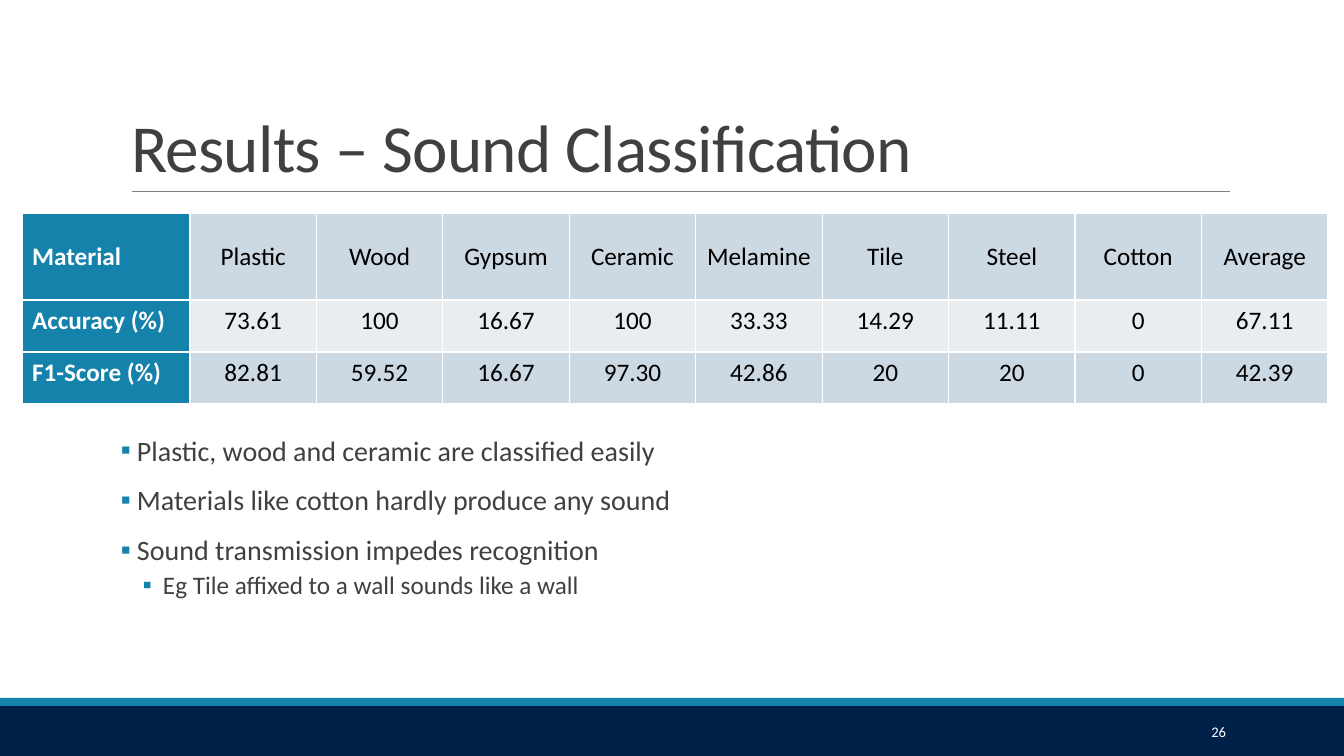
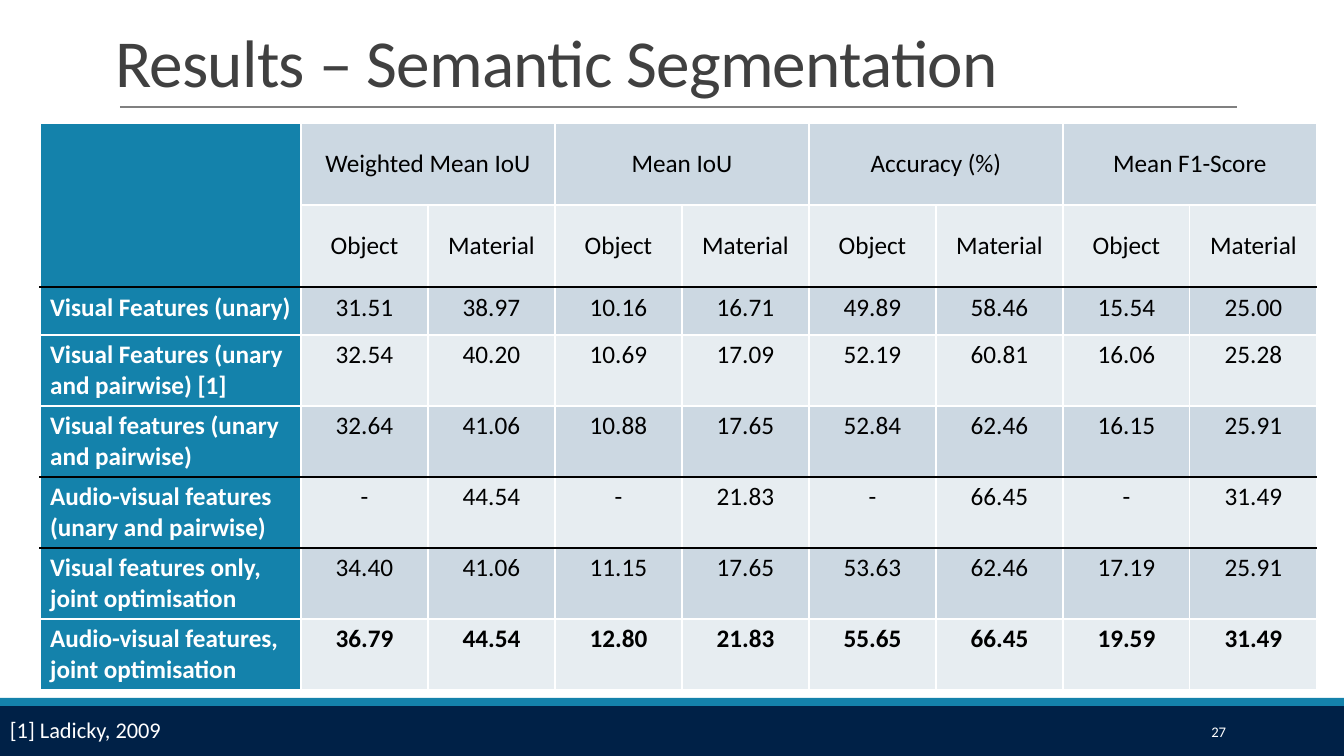
from dataclasses import dataclass
from typing import Any

from lxml.etree import SubElement
from pptx import Presentation
from pptx.dml.color import RGBColor
from pptx.enum.shapes import MSO_CONNECTOR, MSO_SHAPE
from pptx.enum.text import MSO_ANCHOR, MSO_AUTO_SIZE, PP_ALIGN
from pptx.oxml import parse_xml
from pptx.oxml.ns import nsdecls, qn
from pptx.util import Pt

EMU_PER_PX = 914400 / 100.8
PAGE_WIDTH, PAGE_HEIGHT = 1344, 756


@dataclass(frozen=True)
class Theme:
    font: str = "Calibri"
    navy: str = "002147"
    teal: str = "1482AB"
    rule: str = "808080"
    text: str = "404040"
    black: str = "000000"
    white: str = "FFFFFF"
    row_fills: tuple[str, str] = ("CCD8E2", "E7EDF1")
    title_size: float = 48
    bullet_size: float = 20
    table_size: float = 18
    footnote_size: float = 16
    number_size: float = 10.5


THEME = Theme()


@dataclass(frozen=True)
class Box:
    left: int
    top: int
    width: int
    height: int

    def emu(self) -> tuple[int, int, int, int]:
        return px(self.left), px(self.top), px(self.width), px(self.height)


@dataclass(frozen=True)
class Heading:
    text: str
    box: Box
    anchor: MSO_ANCHOR
    line_spacing: float
    rule_left: int
    rule_right: int
    rule_top: int
    rule_weight: float


@dataclass(frozen=True)
class ResultTable:
    left: int
    top: int
    width: int
    label_width: int
    row_heights: tuple[int, ...]
    rows: tuple[tuple[str, ...], ...]
    header_rows: int = 1
    merges: tuple[tuple[int, int, int, int], ...] = ()  # top, left, bottom, right
    dark_above: tuple[int, ...] = ()  # rows with a black line on top
    bold_rows: tuple[int, ...] = ()


@dataclass(frozen=True)
class BulletStyle:
    size: float
    margin: int
    hanging: int
    before: float
    after: float


BULLET_LEVELS = (
    BulletStyle(THEME.bullet_size, 16, 16, 12, 2),
    BulletStyle(THEME.table_size, 42, 20, 2, 4),
)

SOUND_HEADING = Heading("Results – Sound Classification", Box(121, 31, 1109, 160),
                        MSO_ANCHOR.BOTTOM, 0.85, 132, 1230, 191, 0.5)
SOUND_TABLE = ResultTable(
    left=22, top=213, width=1306, label_width=168, row_heights=(87, 52, 52),
    rows=(
        ("Material", "Plastic", "Wood", "Gypsum", "Ceramic", "Melamine", "Tile",
         "Steel", "Cotton", "Average"),
        ("Accuracy (%)", "73.61", "100", "16.67", "100", "33.33", "14.29", "11.11",
         "0", "67.11"),
        ("F1-Score (%)", "82.81", "59.52", "16.67", "97.30", "42.86", "20", "20",
         "0", "42.39"),
    ),
)
SOUND_BULLETS = (
    (0, "Plastic, wood and ceramic are classified easily"),
    (0, "Materials like cotton hardly produce any sound"),
    (0, "Sound transmission impedes recognition"),
    (1, "Eg Tile affixed to a wall sounds like a wall"),
)

SEGMENT_HEADING = Heading("Results – Semantic Segmentation", Box(105, 15, 1239, 92),
                          MSO_ANCHOR.TOP, 1.0, 120, 1237, 107, 1)
SEGMENT_TABLE = ResultTable(
    left=40, top=123, width=1277, label_width=261,
    row_heights=(82, 82, 48) + (71,) * 5,
    rows=(
        ("", "Weighted Mean IoU", "", "Mean IoU", "", "Accuracy (%)", "",
         "Mean F1-Score", ""),
        ("",) + ("Object", "Material") * 4,
        ("Visual Features (unary)", "31.51", "38.97", "10.16", "16.71", "49.89",
         "58.46", "15.54", "25.00"),
        ("Visual Features (unary and pairwise) [1]", "32.54", "40.20", "10.69", "17.09",
         "52.19", "60.81", "16.06", "25.28"),
        ("Visual features (unary and pairwise)", "32.64", "41.06", "10.88", "17.65",
         "52.84", "62.46", "16.15", "25.91"),
        ("Audio-visual features (unary and pairwise)", "-", "44.54", "-", "21.83",
         "-", "66.45", "-", "31.49"),
        ("Visual features only, joint optimisation", "34.40", "41.06", "11.15", "17.65",
         "53.63", "62.46", "17.19", "25.91"),
        ("Audio-visual features, joint optimisation", "36.79", "44.54", "12.80", "21.83",
         "55.65", "66.45", "19.59", "31.49"),
    ),
    header_rows=2,
    merges=((0, 0, 1, 0),) + tuple((0, column, 0, column + 1) for column in (1, 3, 5, 7)),
    dark_above=(2, 5, 6),
    bold_rows=(7,),
)


def px(length: float) -> int:
    return round(length * EMU_PER_PX)


def apply(target: Any, values: dict[str, Any]) -> None:
    for name, value in values.items():
        setattr(target, name, value)


def write(para: Any, text: str, size: float, color: str, bold: bool = False) -> Any:
    """Add one formatted run to a paragraph and return it."""
    span = para.add_run()
    span.text = text
    apply(span.font, {"name": THEME.font, "size": Pt(size), "bold": bold})
    span.font.color.rgb = RGBColor.from_string(color)
    return span


def add_band(page: Any, box: Box, color: str) -> None:
    band = page.shapes.add_shape(MSO_SHAPE.RECTANGLE, *box.emu())
    band.shadow.inherit = False
    band.fill.solid()
    band.fill.fore_color.rgb = RGBColor.from_string(color)
    band.line.fill.background()


def add_text_box(page: Any, box: Box, **frame_values: Any) -> Any:
    frame = page.shapes.add_textbox(*box.emu()).text_frame
    apply(frame, {"word_wrap": True, **frame_values})
    return frame


def add_heading(page: Any, heading: Heading) -> None:
    title = page.shapes.title
    apply(title, dict(zip(("left", "top", "width", "height"), heading.box.emu())))
    frame = title.text_frame
    apply(frame, {"word_wrap": True, "auto_size": MSO_AUTO_SIZE.NONE,
                  "vertical_anchor": heading.anchor})
    para = frame.paragraphs[0]
    apply(para, {"alignment": PP_ALIGN.LEFT, "line_spacing": heading.line_spacing,
                 "space_before": Pt(0)})
    span = write(para, heading.text, THEME.title_size, THEME.text)
    span.font._element.set("spc", "-50")

    rule = page.shapes.add_connector(
        MSO_CONNECTOR.STRAIGHT, px(heading.rule_left), px(heading.rule_top),
        px(heading.rule_right), px(heading.rule_top))
    rule.line.color.rgb = RGBColor.from_string(THEME.rule)
    rule.line.width = Pt(heading.rule_weight)
    SubElement(rule._element.spPr, qn("a:effectLst"))


def add_page(deck: Any, heading: Heading, number: int) -> Any:
    """Add a slide with the shared bands, slide number, title and rule."""
    page = deck.slides.add_slide(deck.slide_layouts[5])
    add_band(page, Box(0, 706, PAGE_WIDTH, 50), THEME.navy)
    add_band(page, Box(0, 698, PAGE_WIDTH, 8), THEME.teal)
    frame = add_text_box(page, Box(1092, 712, 144, 40), vertical_anchor=MSO_ANCHOR.MIDDLE)
    para = frame.paragraphs[0]
    para.alignment = PP_ALIGN.RIGHT
    write(para, str(number), THEME.number_size, THEME.white)
    add_heading(page, heading)
    return page


def set_borders(cell: Any, top: str, bottom: str) -> None:
    properties = cell._tc.get_or_add_tcPr()
    sides = {"lnL": THEME.white, "lnR": THEME.white, "lnT": top, "lnB": bottom}
    for position, (side, color) in enumerate(sides.items()):
        properties.insert(position, parse_xml(
            f'<a:{side} {nsdecls("a")} w="12700"><a:solidFill>'
            f'<a:srgbClr val="{color}"/></a:solidFill></a:{side}>'))


def fill_cell(cell: Any, data: ResultTable, row: int, column: int) -> None:
    is_label = column == 0
    cell.fill.solid()
    cell.fill.fore_color.rgb = RGBColor.from_string(
        THEME.teal if is_label else THEME.row_fills[row % 2])
    if row < data.header_rows:
        cell.vertical_anchor = MSO_ANCHOR.MIDDLE
    last_row = row + (cell.span_height if cell.is_merge_origin else 1) - 1
    set_borders(cell, *(THEME.black if edge in data.dark_above else THEME.white
                        for edge in (row, last_row + 1)))
    text = data.rows[row][column]
    if text:
        para = cell.text_frame.paragraphs[0]
        para.alignment = PP_ALIGN.LEFT if is_label else PP_ALIGN.CENTER
        write(para, text, THEME.table_size, THEME.white if is_label else THEME.black,
              is_label or row in data.bold_rows)


def add_result_table(page: Any, data: ResultTable) -> None:
    column_count = len(data.rows[0])
    box = Box(data.left, data.top, data.width, sum(data.row_heights))
    table = page.shapes.add_table(len(data.rows), column_count, *box.emu()).table
    apply(table, {"first_row": False, "horz_banding": False})
    value_width = (data.width - data.label_width) / (column_count - 1)
    for index, column in enumerate(table.columns):
        column.width = px(value_width if index else data.label_width)
    for row, height in zip(table.rows, data.row_heights):
        row.height = px(height)
    for top, left, bottom, right in data.merges:
        table.cell(top, left).merge(table.cell(bottom, right))
    for row in range(len(data.rows)):
        for column in range(column_count):
            fill_cell(table.cell(row, column), data, row, column)


def add_bullets(page: Any, box: Box, items: tuple[tuple[int, str], ...]) -> None:
    frame = add_text_box(page, box, margin_left=0, margin_right=0)
    for index, (level, text) in enumerate(items):
        style = BULLET_LEVELS[level]
        para = frame.add_paragraph() if index else frame.paragraphs[0]
        apply(para, {"level": level, "line_spacing": 0.9, "space_after": Pt(style.after),
                     "space_before": Pt(style.before if index else 0)})
        properties = para._p.get_or_add_pPr()
        properties.set("marL", str(px(style.margin)))
        properties.set("indent", str(-px(style.hanging)))
        color = SubElement(properties, qn("a:buClr"))
        SubElement(color, qn("a:srgbClr"), val=THEME.teal)
        SubElement(properties, qn("a:buFont"), typeface=THEME.font)
        SubElement(properties, qn("a:buChar"), char="▪")
        write(para, text, style.size, THEME.text)


def main() -> None:
    deck = Presentation()
    apply(deck, {"slide_width": px(PAGE_WIDTH), "slide_height": px(PAGE_HEIGHT)})

    sound = add_page(deck, SOUND_HEADING, 26)
    add_result_table(sound, SOUND_TABLE)
    add_bullets(sound, Box(121, 432, 1109, 202), SOUND_BULLETS)

    segmentation = add_page(deck, SEGMENT_HEADING, 27)
    add_result_table(segmentation, SEGMENT_TABLE)
    footnote = add_text_box(segmentation, Box(0, 711, 1080, 40))
    write(footnote.paragraphs[0], "[1] Ladicky, 2009", THEME.footnote_size, THEME.white)

    deck.save("out.pptx")


if __name__ == "__main__":
    main()
